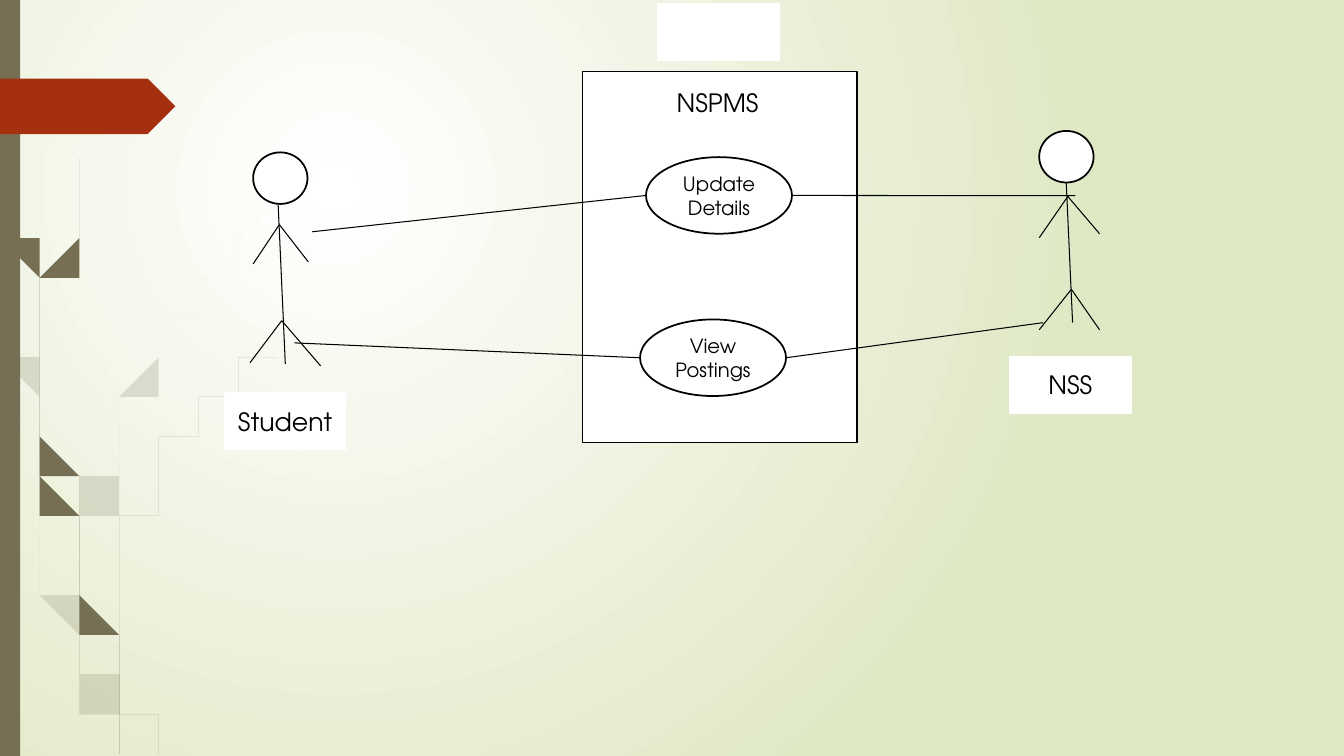
import lxml.etree
import pptx
import pptx.dml.color
import pptx.enum.shapes
import pptx.enum.text
import pptx.oxml
import pptx.oxml.ns
import pptx.util

Cm, Pt = pptx.util.Cm, pptx.util.Pt
qn = pptx.oxml.ns.qn
SHAPE = pptx.enum.shapes.MSO_SHAPE
COLOURS = {"white": "FFFFFF", "ink": "000000", "meadow": "DFE8C4", "stalk": "766F54", "tag": "A53010"}
RGB = {name: pptx.dml.color.RGBColor.from_string(value) for name, value in COLOURS.items()}
FRAME_FORMAT = {"word_wrap": True, "vertical_anchor": pptx.enum.text.MSO_ANCHOR.MIDDLE}
FONT_FORMAT = {"name": "TeX Gyre Adventor", "bold": False}

SLIDE_WIDTH, SLIDE_HEIGHT = 33.87, 19.05
TIP_WIDTH, ROOT_WIDTH = 0.03, 0.14
STEPS_PER_SPAN = 12
HEAD_SIZE = (1.37, 1.3)
CAPTION_SIZE = (3.05, 1.42)
CASE_WIDTH, CASE_HEIGHT = 3.68, 1.93


def add_block(kind, box, fill, outline=None, text="", size=18):
    block = slide.shapes.add_shape(kind, *map(Cm, box))
    block.shadow.inherit = False
    block.fill.solid()
    block.fill.fore_color.rgb = RGB[fill]
    if outline:
        block.line.color.rgb = RGB[outline]
        block.line.width = Pt(1.25)
    else:
        block.line.fill.background()
    if text:
        for attribute, value in FRAME_FORMAT.items():
            setattr(block.text_frame, attribute, value)
        paragraph = block.text_frame.paragraphs[0]
        paragraph.alignment = pptx.enum.text.PP_ALIGN.CENTER
        run = paragraph.add_run()
        run.text = text
        for attribute, value in {**FONT_FORMAT, "size": Pt(size)}.items():
            setattr(run.font, attribute, value)
        run.font.color.rgb = RGB["ink"]


def smooth_curve(knots):
    padded = [knots[0], *knots, knots[-1]]
    curve = []
    for before, start, end, after in zip(padded, padded[1:], padded[2:], padded[3:]):
        for step in range(STEPS_PER_SPAN):
            t = step / STEPS_PER_SPAN
            curve.append(tuple(
                b + ((c - a) * t + (2 * a - 5 * b + 4 * c - d) * t ** 2
                     + (3 * b - a - 3 * c + d) * t ** 3) / 2
                for a, b, c, d in zip(before, start, end, after)))
    return curve + [knots[-1]]


deck = pptx.Presentation()
deck.slide_width, deck.slide_height = Cm(SLIDE_WIDTH), Cm(SLIDE_HEIGHT)
slide = deck.slides.add_slide(deck.slide_layouts[6])

backdrop = slide.background.fill
backdrop.gradient()
for stop, position, colour in zip(backdrop.gradient_stops, (0, 1), ("white", "meadow")):
    stop.position = position
    stop.color.rgb = RGB[colour]
direction = slide._element.find(".//" + qn("a:lin"))
direction.getparent().replace(direction, pptx.oxml.parse_xml(
    f'<a:path {pptx.oxml.ns.nsdecls("a")} path="circle">'
    '<a:fillToRect l="50000" t="50000" r="100000" b="100000"/></a:path>'))

tufts = {
    20: {
        "edge": [(0, 7.2), (0.75, 11.93), (1.7, 15.8), (2.95, 19.05)],
        "middle": [(0.36, 8.8), (1.52, 13.23), (2.25, 15.2), (3.18, 17.6), (3.87, 19.05)],
        "arching": [(7.92, 3.89), (4.04, 8.85), (2.75, 11.73), (2.2, 14.85), (2.6, 18.06), (3.08, 19.05)],
    },
    100: {
        "edge": [(0.09, 0), (0.46, 5.92), (1.45, 12.17), (2.43, 16.7), (3.3, 19.02)],
        "middle": [(1.78, 3.58), (1.35, 8.86), (1.5, 11.99), (2.3, 15.04), (3.92, 19.02)],
        "arching": [(6.6, 8.74), (3.99, 12.06), (2.76, 16.03), (2.87, 17.55), (3.42, 19.02)],
    },
}
for opacity, stalks in tufts.items():
    tuft = slide.shapes.add_group_shape()
    for knots in stalks.values():
        centre = smooth_curve(knots)
        left_edge, right_edge = [], []
        for index, (x, y) in enumerate(centre):
            growth = index / (len(centre) - 1)
            half_width = (TIP_WIDTH + (ROOT_WIDTH - TIP_WIDTH) * growth) / 2
            left_edge.append((max(x - half_width, 0), y))
            right_edge.append((x + half_width, y))
        outline = left_edge + right_edge[::-1]
        builder = tuft.shapes.build_freeform(*outline[0], scale=Cm(1))
        builder.add_line_segments(outline[1:], close=True)
        stalk = builder.convert_to_shape()
        stalk.shadow.inherit = False
        stalk.line.fill.background()
        stalk.fill.solid()
        stalk.fill.fore_color.rgb = RGB["stalk"]
        tone = stalk._element.spPr.find(".//" + qn("a:srgbClr"))
        lxml.etree.SubElement(tone, qn("a:alpha"), val=str(opacity * 1000))

add_block(SHAPE.RECTANGLE, (0, 0, 0.51, SLIDE_HEIGHT), "stalk")
add_block(SHAPE.PENTAGON, (0, 1.98, 4.42, 1.4), "tag")

add_block(SHAPE.RECTANGLE, (14.68, 1.8, 6.91, 9.35), "white", "ink")
add_block(SHAPE.RECTANGLE, (16.23, 1.98, 3.71, 1.22), "white", "white", "NSPMS")
add_block(SHAPE.RECTANGLE, (16.59, 0.1, *CAPTION_SIZE), "white", "white")

use_cases = {"Update Details": (16.28, 3.96), "View Postings": (16.13, 8.05)}
for use_case, corner in use_cases.items():
    add_block(SHAPE.OVAL, (*corner, CASE_WIDTH, CASE_HEIGHT), "white", "ink", use_case, 14)

actors = {
    "Student": {
        "head": (6.38, 3.84), "caption": (5.66, 9.91),
        "neck": (7.01, 5.16), "spine end": (7.19, 9.17),
        "shoulder": (7.04, 5.66), "hands": [(6.38, 6.65), (7.77, 6.6)],
        "hip": (7.1, 8.08), "feet": [(6.3, 9.14), (8.08, 9.22)],
        "case side": 0,
        "links": {"Update Details": (7.87, 5.84), "View Postings": (7.42, 8.64)},
    },
    "NSS": {
        "head": (26.19, 3.3), "caption": (25.45, 8.99),
        "neck": (26.87, 4.6), "spine end": (27.03, 8.13),
        "shoulder": (26.91, 4.95), "hands": [(26.19, 5.99), (27.71, 5.89)],
        "hip": (27, 7.29), "feet": [(26.19, 8.31), (27.71, 8.31)],
        "case side": CASE_WIDTH,
        "links": {"Update Details": (27.1, 4.93), "View Postings": (26.29, 8.13)},
    },
}
for actor, part in actors.items():
    add_block(SHAPE.FLOWCHART_CONNECTOR, (*part["head"], *HEAD_SIZE), "white", "ink")
    add_block(SHAPE.RECTANGLE, (*part["caption"], *CAPTION_SIZE), "white", "white", actor)
    strokes = [(part["neck"], part["spine end"])]
    strokes += [(part["shoulder"], hand) for hand in part["hands"]]
    strokes += [(part["hip"], foot) for foot in part["feet"]]
    for use_case, reach in part["links"].items():
        left, top = use_cases[use_case]
        strokes.append((reach, (left + part["case side"], top + CASE_HEIGHT / 2)))
    for start, end in strokes:
        stroke = slide.shapes.add_connector(
            pptx.enum.shapes.MSO_CONNECTOR.STRAIGHT, *map(Cm, (*start, *end)))
        stroke.line.color.rgb = RGB["ink"]
        stroke.line.width = Pt(0.75)
        lxml.etree.SubElement(stroke._element.spPr, qn("a:effectLst"))

deck.save("out.pptx")
